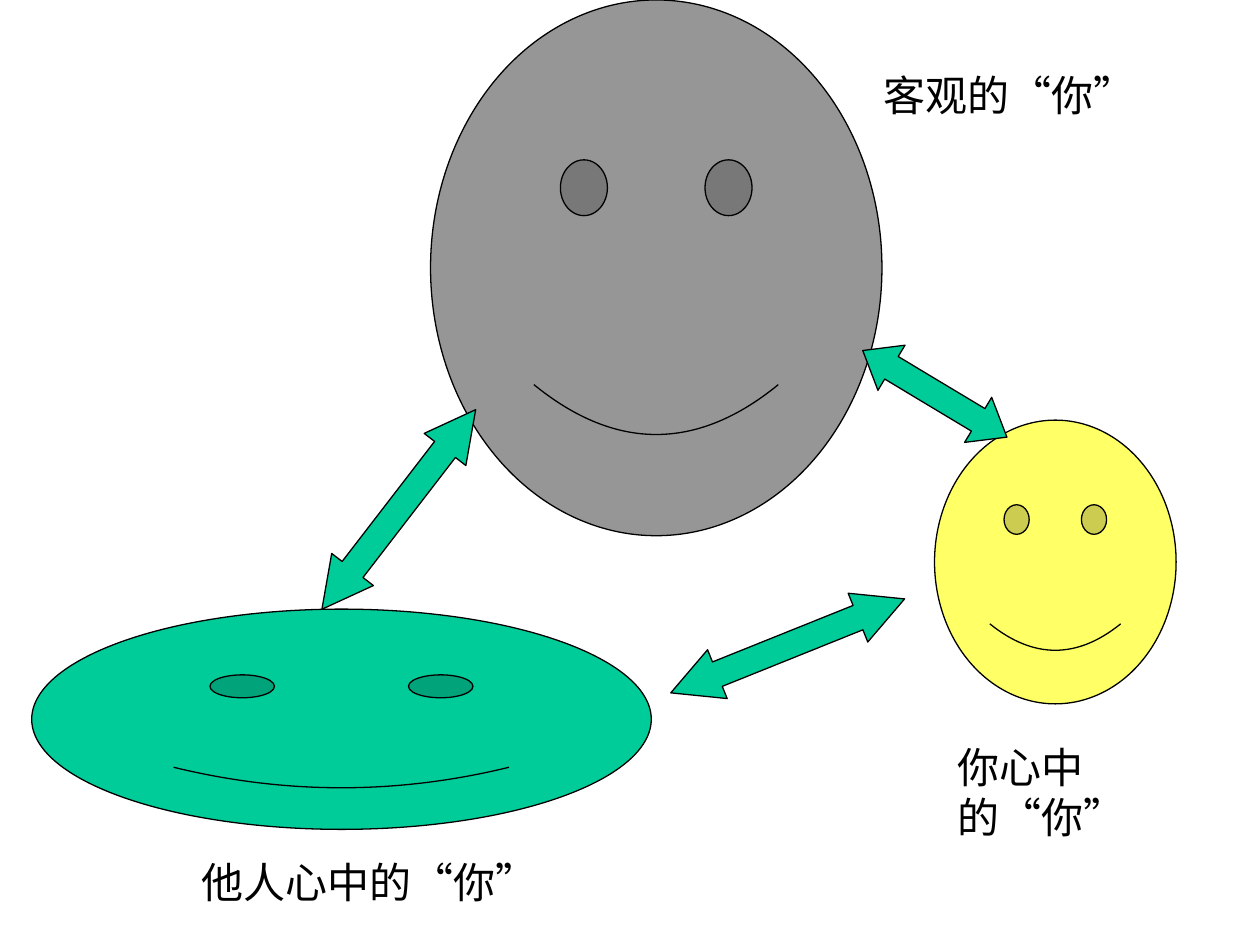
from dataclasses import dataclass

from pptx import Presentation
from pptx import util as u
from pptx.dml.color import RGBColor
from pptx.enum import shapes, text


@dataclass(frozen=True)
class Theme:
    ink: str = "000000"
    gray: str = "969696"
    green: str = "00CC99"
    yellow: str = "FFFF66"
    font: str = "Times New Roman"
    label_size: float = 24
    outline: float = 0.75


@dataclass(frozen=True)
class Box:
    """Position and size in centimetres."""
    left: float
    top: float
    width: float
    height: float

    def lengths(self) -> list[u.Length]:
        return [u.Cm(value) for value in (self.left, self.top, self.width, self.height)]


@dataclass(frozen=True)
class Face:
    box: Box
    color: str


@dataclass(frozen=True)
class Arrow:
    box: Box
    rotation: float
    head: float


@dataclass(frozen=True)
class Label:
    box: Box
    lines: tuple[str, ...]


THEME = Theme()
SMILE = 0.093
ARROW_SHAFT = 0.5

FACES = (
    Face(Box(8.68, 0, 9.1, 10.8), THEME.gray),
    Face(Box(0.64, 12.28, 12.49, 4.44), THEME.green),
    Face(Box(18.84, 8.47, 4.87, 5.72), THEME.yellow),
)
LABELS = (
    Label(Box(3.81, 17.15, 7.41, 1.27), ("他人心中的“你”",)),
    Label(Box(17.57, 1.27, 5.93, 1.27), ("客观的“你”",)),
    Label(Box(19.05, 14.82, 6.35, 2.29), ("你心中", "的“你”")),
)
ARROWS = (
    Arrow(Box(5.5, 9.74, 5.08, 1.06), 307.6, 0.955),
    Arrow(Box(17.15, 7.41, 3.39, 1.06), 31, 0.637),
    Arrow(Box(13.34, 12.49, 5.08, 1.06), 338.1, 0.955),
)


def draw_shape(slide, kind: shapes.MSO_SHAPE, box: Box, color: str,
               adjustments: tuple[float, ...], rotation: float = 0) -> None:
    shape = slide.shapes.add_shape(kind, *box.lengths())
    shape.rotation = rotation
    shape.shadow.inherit = False
    for index, value in enumerate(adjustments):
        shape.adjustments[index] = value
    shape.fill.solid()
    shape.fill.fore_color.rgb = RGBColor.from_string(color)
    shape.line.color.rgb = RGBColor.from_string(THEME.ink)
    shape.line.width = u.Pt(THEME.outline)


def draw_label(slide, label: Label) -> None:
    frame = slide.shapes.add_textbox(*label.box.lengths()).text_frame
    frame.word_wrap = True
    frame.auto_size = text.MSO_AUTO_SIZE.SHAPE_TO_FIT_TEXT
    paragraph = frame.paragraphs[0]
    font_format = {"name": THEME.font, "size": u.Pt(THEME.label_size)}
    for index, line in enumerate(label.lines):
        if index:
            paragraph.add_line_break()
        run = paragraph.add_run()
        run.text = line
        for name, value in font_format.items():
            setattr(run.font, name, value)
        run.font.color.rgb = RGBColor.from_string(THEME.ink)


def main() -> None:
    presentation = Presentation()
    presentation.slide_width = u.Cm(25.4)
    presentation.slide_height = u.Cm(19.05)
    slide = presentation.slides.add_slide(presentation.slide_layouts[6])

    # Three views of the same person
    for face in FACES:
        draw_shape(slide, shapes.MSO_SHAPE.SMILEY_FACE, face.box, face.color, (SMILE,))

    # Captions
    for label in LABELS:
        draw_label(slide, label)

    # Two-way arrows between the faces
    for arrow in ARROWS:
        draw_shape(slide, shapes.MSO_SHAPE.LEFT_RIGHT_ARROW, arrow.box, THEME.green,
                   (ARROW_SHAFT, arrow.head), arrow.rotation)

    presentation.save("out.pptx")


if __name__ == "__main__":
    main()
